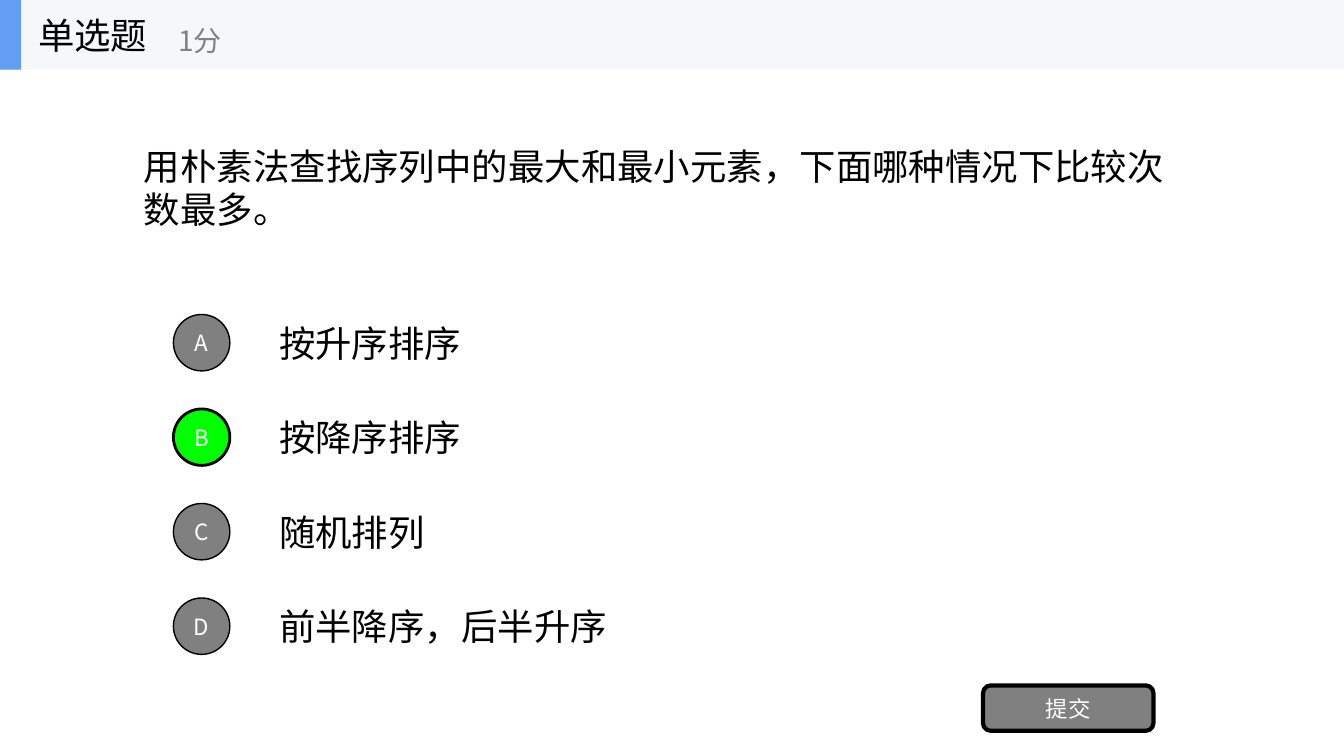
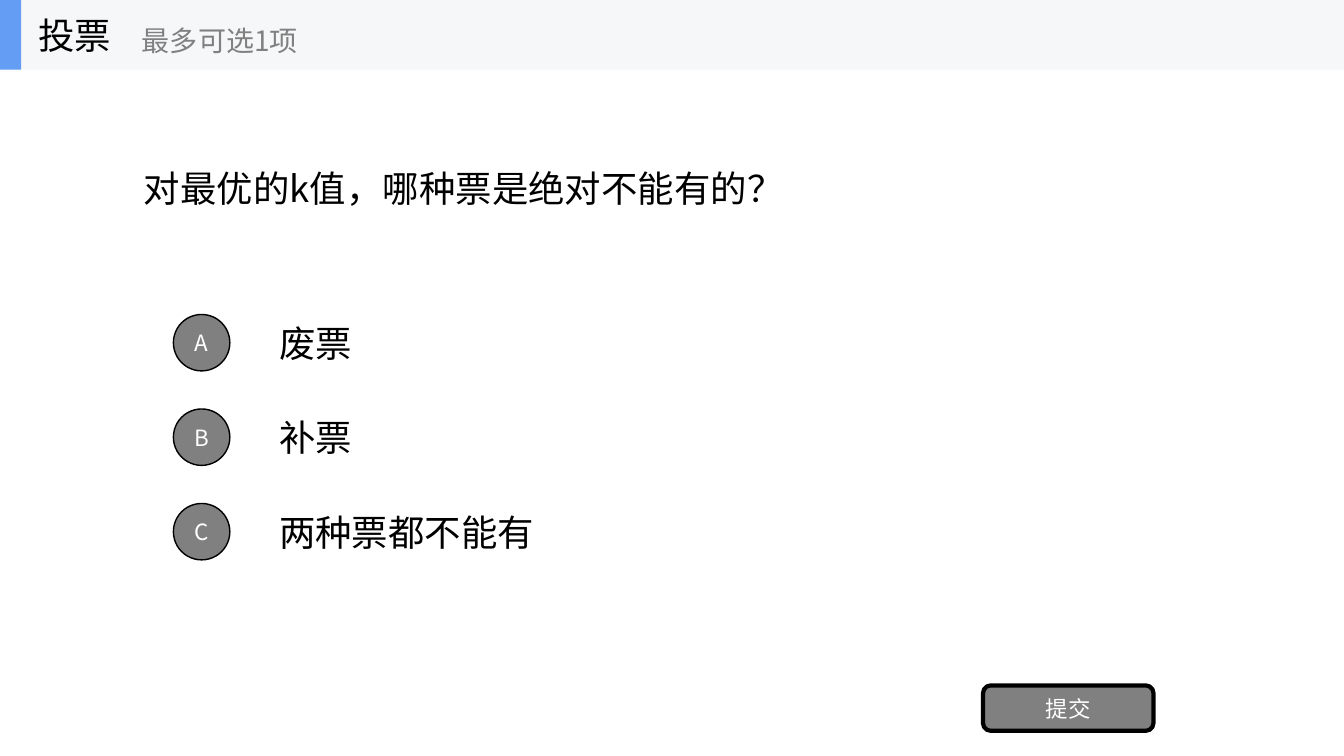
import pptx
import pptx.dml.color
import pptx.enum.shapes
import pptx.enum.text
import pptx.oxml.ns
import pptx.util
from lxml import etree

Inches = pptx.util.Inches
Pt = pptx.util.Pt
RGBColor = pptx.dml.color.RGBColor
Shape = pptx.enum.shapes.MSO_SHAPE
Align = pptx.enum.text.PP_ALIGN

BLACK = RGBColor(0x00, 0x00, 0x00)
WHITE = RGBColor(0xFF, 0xFF, 0xFF)
GRAY = RGBColor(0x80, 0x80, 0x80)
GREEN = RGBColor(0x00, 0xFF, 0x00)
BAND = RGBColor(0xF6, 0xF7, 0xF8)
ACCENT = RGBColor(0x63, 0x9E, 0xF4)

FONT = "Noto Sans CJK SC"
SLIDE_WIDTH, SLIDE_HEIGHT = 13.33, 7.5
HEADER_BOX = (0, 0, SLIDE_WIDTH, 0.69)
QUESTION_BOX = (1.33, 0.69, 10.67, 2.34)
OPTIONS_BOX = (1.72, 3.05, 10.28, 0.7)
SUBMIT_BOX = (9.75, 6.8, 1.69, 0.45)
OPTION_PITCH = 0.9375
BADGE_SIZE = 0.56
OPTION_INDENT = 0.95

QUIZZES = [
    {
        "title": "单选题",
        "hint": "1分",
        "hint_left": 1.67,
        "question": "用朴素法查找序列中的最大和最小元素，下面哪种情况下比较次数最多。",
        "options": ["按升序排序", "按降序排序", "随机排列", "前半降序，后半升序"],
        "answer": "B",
    },
    {
        "title": "投票",
        "hint": "最多可选1项",
        "hint_left": 1.31,
        "question": "对最优的k值，哪种票是绝对不能有的？",
        "options": ["废票", "补票", "两种票都不能有"],
        "answer": None,
    },
]


def write_text(shape, text, size, color, align=Align.LEFT, wrap=True):
    frame = shape.text_frame
    frame.word_wrap = wrap
    frame.vertical_anchor = pptx.enum.text.MSO_ANCHOR.MIDDLE
    paragraph = frame.paragraphs[0]
    paragraph.alignment = align
    run = paragraph.add_run()
    run.text = text
    run.font.color.rgb = color
    for attribute, value in {"name": FONT, "size": Pt(size)}.items():
        setattr(run.font, attribute, value)
    east_asian = etree.SubElement(run.font._element, pptx.oxml.ns.qn("a:ea"))
    east_asian.set("typeface", FONT)


def add_label(shapes, box, text, size=26, color=BLACK, wrap=True):
    label = shapes.add_textbox(*map(Inches, box))
    write_text(label, text, size, color, wrap=wrap)


def add_block(shapes, kind, box, fill, line_width=0):
    block = shapes.add_shape(kind, *map(Inches, box))
    block.shadow.inherit = False
    block.fill.solid()
    block.fill.fore_color.rgb = fill
    if line_width:
        block.line.color.rgb = BLACK
        block.line.width = Pt(line_width)
    else:
        block.line.fill.background()
    return block


def add_button(shapes, kind, box, text, fill, line_width):
    button = add_block(shapes, kind, box, fill, line_width)
    write_text(button, text, 16, WHITE, Align.CENTER)


def add_header(slide, box, title, hint, hint_left):
    left, top, width, height = box
    header = slide.shapes.add_group_shape().shapes
    add_block(header, Shape.RECTANGLE, box, BAND)
    add_block(header, Shape.RECTANGLE, (left, top, 0.21, height), ACCENT)
    add_label(header, (left + 0.28, top, 2.08, height), title, wrap=False)
    add_label(header, (left + hint_left, top + 0.12, 2.5, 0.56), hint, 20, GRAY, wrap=False)


def add_option(slide, box, letter, text, chosen):
    left, top, width, height = box
    add_label(slide.shapes, (left + OPTION_INDENT, top, width - OPTION_INDENT, height), text)
    badge_box = (left, top + (height - BADGE_SIZE) / 2, BADGE_SIZE, BADGE_SIZE)
    fill, line_width = (GREEN, 2) if chosen else (GRAY, 1)
    add_button(slide.shapes, Shape.OVAL, badge_box, letter, fill, line_width)


def add_options(slide, box, options, answer):
    left, top, width, height = box
    for row, (letter, text) in enumerate(zip("ABCD", options)):
        row_box = (left, top + row * OPTION_PITCH, width, height)
        add_option(slide, row_box, letter, text, letter == answer)


def add_quiz_slide(deck, quiz):
    slide = deck.slides.add_slide(deck.slide_layouts[6])
    add_label(slide.shapes, QUESTION_BOX, quiz["question"])
    add_options(slide, OPTIONS_BOX, quiz["options"], quiz["answer"])
    add_button(slide.shapes, Shape.ROUNDED_RECTANGLE, SUBMIT_BOX, "提交", GRAY, 3)
    add_header(slide, HEADER_BOX, quiz["title"], quiz["hint"], quiz["hint_left"])


def main():
    deck = pptx.Presentation()
    deck.slide_width = Inches(SLIDE_WIDTH)
    deck.slide_height = Inches(SLIDE_HEIGHT)
    for quiz in QUIZZES:
        add_quiz_slide(deck, quiz)
    deck.save("out.pptx")


if __name__ == "__main__":
    main()
